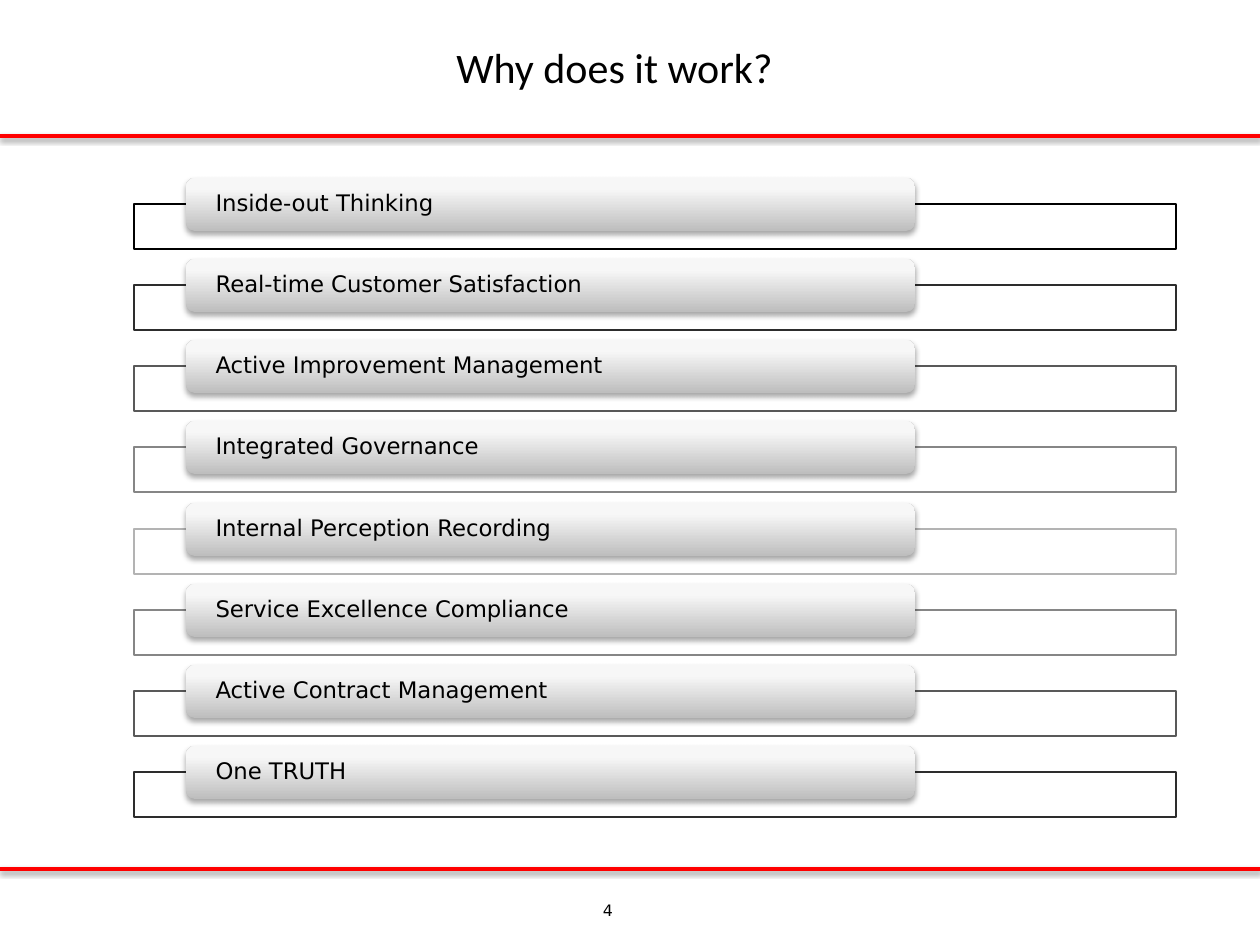
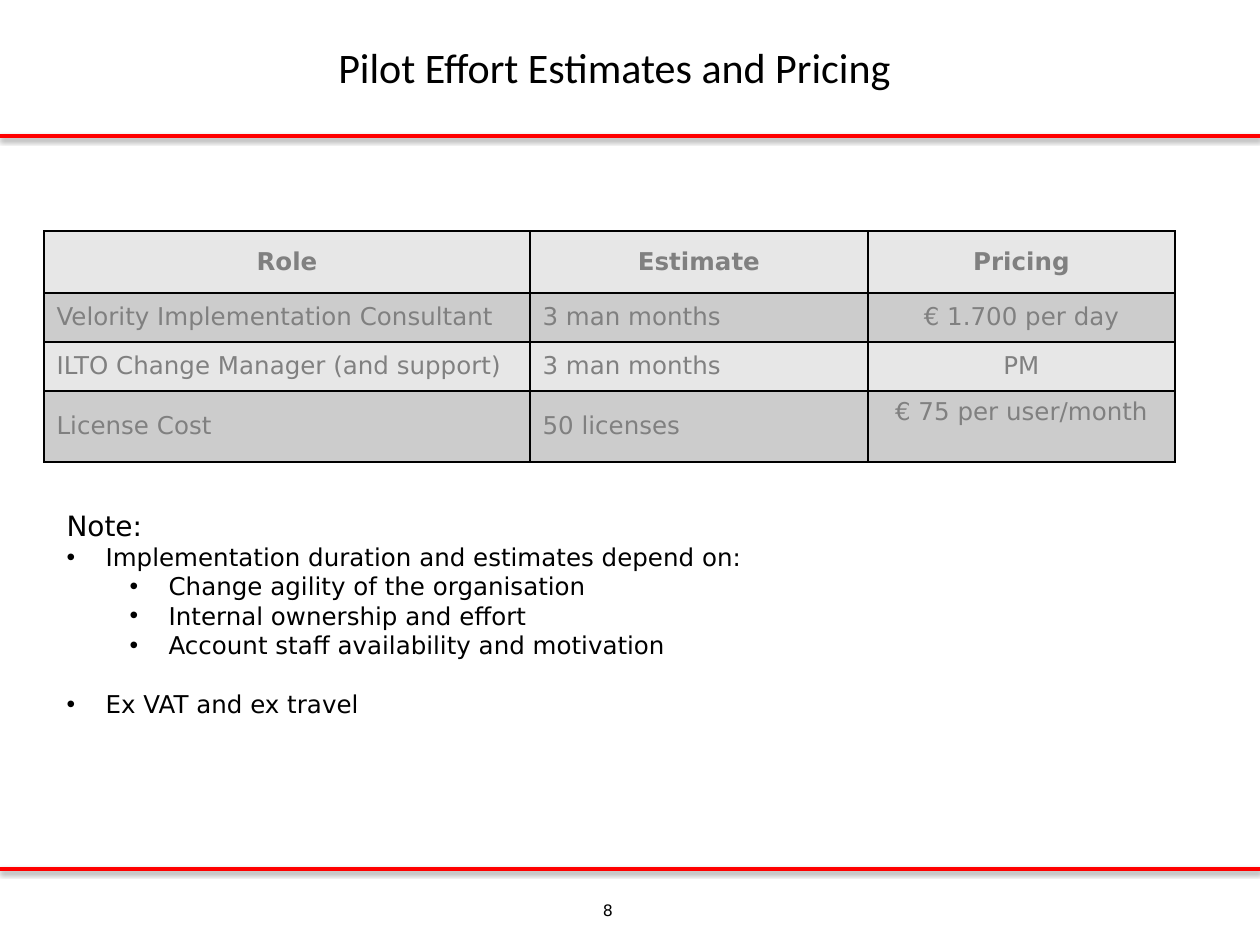
from dataclasses import dataclass

from pptx import Presentation
from pptx.dml.color import RGBColor
from pptx.enum.shapes import MSO_CONNECTOR as Connector, MSO_SHAPE as Shape
from pptx.enum.text import MSO_ANCHOR as Anchor, MSO_AUTO_SIZE as AutoSize, PP_ALIGN as Align
from pptx.oxml import parse_xml
from pptx.oxml.ns import nsdecls, qn
from pptx.util import Emu, Pt

# Shared style
EMU_PER_PX = 914400 / 126
PAGE_WIDTH, PAGE_HEIGHT = 1260, 945
TITLE_FONT, TEXT_FONT = "Calibri", "DejaVu Sans"
BLACK, WHITE, RED, GREY = "000000", "FFFFFF", "FF0000", "808080"
HEADER_FILL, ROW_FILL = "E7E7E7", "CCCCCC"
RULE_TOPS = (136, 869)


@dataclass(frozen=True)
class Area:
    left: int
    top: int
    width: int
    height: int

    def emu(self) -> list[Emu]:
        return [px(n) for n in (self.left, self.top, self.width, self.height)]


@dataclass(frozen=True)
class Reason:
    text: str
    outline: str


@dataclass(frozen=True)
class Note:
    text: str
    size: int = 14
    level: int = 0
    indent: int = 39
    bullet: bool = True
    before: int = 0


TITLE_AREA = Area(33, 13, 1163, 108)
NUMBER_AREA = Area(576, 895, 64, 49)

# Content of the reasons page
FIRST_FRAME = Area(134, 204, 1042, 45)
LAST_FRAME_TOP = 772
BAR_LEFT, BAR_RISE, BAR_WIDTH, BAR_HEIGHT = 186, 26, 729, 53
REASONS = [
    Reason("Inside-out Thinking", BLACK),
    Reason("Real-time Customer Satisfaction", "2D2D2D"),
    Reason("Active Improvement Management", "595959"),
    Reason("Integrated Governance", "868686"),
    Reason("Internal Perception Recording", "B3B3B3"),
    Reason("Service Excellence Compliance", "868686"),
    Reason("Active Contract Management", "595959"),
    Reason("One TRUTH", "2D2D2D"),
]

# Content of the pricing page
PRICE_AREA = Area(44, 231, 1131, 231)
COLUMN_WIDTHS = (486, 338, 307)
ROW_HEIGHTS = (62, 49, 49, 71)
PRICES = [
    ("Role", "Estimate", "Pricing"),
    ("Velority Implementation Consultant", "3 man months", "€ 1.700 per day"),
    ("ILTO Change Manager (and support)", "3 man months", "PM"),
    ("License Cost", "50 licenses", "€ 75 per user/month"),
]
NOTES_AREA = Area(54, 502, 1121, 229)
NOTES = [
    Note("Note:", size=16, indent=0, bullet=False),
    Note("Implementation duration and estimates depend on:"),
    Note("Change agility of the organisation", level=1, indent=102),
    Note("Internal ownership and effort", level=1, indent=102),
    Note("Account staff availability and motivation", level=1, indent=102),
    Note("Ex VAT and ex travel", before=17),
]


# Helpers
def px(length: int) -> Emu:
    return Emu(round(length * EMU_PER_PX))


def color(hex_code: str) -> RGBColor:
    return RGBColor.from_string(hex_code)


def fill_solid(target, hex_code: str) -> None:
    target.fill.solid()
    target.fill.fore_color.rgb = color(hex_code)


def set_opacity(shape, percent: int) -> None:
    shape.element.spPr.find(qn("a:solidFill"))[0].append(
        parse_xml(f'<a:alpha {nsdecls("a")} val="{percent * 1000}"/>'))


def set_line(shape, hex_code: str, width: float) -> None:
    shape.line.color.rgb = color(hex_code)
    shape.line.width = Pt(width)


def write(para, text: str, *, size: int, font: str = TEXT_FONT, hex_code: str = BLACK,
          bold: bool = False, align: Align = Align.LEFT) -> None:
    para.alignment = align
    span = para.add_run()
    span.text = text
    span.font.size = Pt(size)
    span.font.name = font
    span.font.bold = bold
    span.font.color.rgb = color(hex_code)


def add_shadow(shape, opacity: int, distance: float) -> None:
    shape.element.spPr.append(parse_xml(
        f'<a:effectLst {nsdecls("a")}><a:outerShdw blurRad="{Pt(3.1)}" dist="{Pt(distance)}" '
        f'dir="5400000" rotWithShape="0"><a:srgbClr val="{BLACK}">'
        f'<a:alpha val="{opacity * 1000}"/></a:srgbClr></a:outerShdw></a:effectLst>'))


def fill_gradient(shape) -> None:
    stops = "".join(
        f'<a:gs pos="{place * 1000}"><a:srgbClr val="{shade}"/></a:gs>'
        for place, shade in ((0, "BEBEBE"), (80, "F7F7F7"), (100, "F8F8F8")))
    shape.element.spPr.find(qn("a:prstGeom")).addnext(parse_xml(
        f'<a:gradFill {nsdecls("a")} rotWithShape="1"><a:gsLst>{stops}</a:gsLst>'
        '<a:lin ang="16200000" scaled="0"/></a:gradFill>'))


def place(box, area: Area) -> None:
    box.left, box.top, box.width, box.height = area.emu()


# Title, rules and page number
def add_page(deck, layout: int, title: str, number: int):
    page = deck.slides.add_slide(deck.slide_layouts[layout])
    for top in RULE_TOPS:
        rule = page.shapes.add_connector(
            Connector.STRAIGHT, px(0), px(top), px(PAGE_WIDTH), px(top))
        set_line(rule, RED, 2)
        add_shadow(rule, 38, 1.6)

    number_box = page.shapes.add_textbox(*NUMBER_AREA.emu())
    number_box.text_frame.word_wrap = True
    write(number_box.text_frame.paragraphs[0], str(number), size=9, align=Align.CENTER)

    title_box = page.shapes.title
    place(title_box, TITLE_AREA)
    title_box.text_frame.auto_size = AutoSize.NONE
    title_box.text_frame.vertical_anchor = Anchor.MIDDLE
    write(title_box.text_frame.paragraphs[0], title, size=24, font=TITLE_FONT,
          align=Align.CENTER)
    return page


# One outlined frame with its raised bar
def add_reason(page, reason: Reason, top: int) -> None:
    frame_area = Area(FIRST_FRAME.left, top, FIRST_FRAME.width, FIRST_FRAME.height)
    frame = page.shapes.add_shape(Shape.RECTANGLE, *frame_area.emu())
    frame.shadow.inherit = False
    fill_solid(frame, WHITE)
    set_opacity(frame, 90)
    set_line(frame, reason.outline, 0.75)

    bar_area = Area(BAR_LEFT, top - BAR_RISE, BAR_WIDTH, BAR_HEIGHT)
    bar = page.shapes.add_shape(Shape.ROUNDED_RECTANGLE, *bar_area.emu())
    fill_gradient(bar)
    bar.line.fill.background()
    add_shadow(bar, 35, 1.8)
    text = bar.text_frame
    text.word_wrap = True
    text.vertical_anchor = Anchor.MIDDLE
    text.margin_left = text.margin_right = px(27)
    text.margin_top = text.margin_bottom = px(0)
    text.paragraphs[0].line_spacing = 0.9
    write(text.paragraphs[0], reason.text, size=13)


# Price table
def add_borders(cell) -> None:
    properties = cell._tc.get_or_add_tcPr()
    for index, side in enumerate(("lnL", "lnR", "lnT", "lnB")):
        properties.insert(index, parse_xml(
            f'<a:{side} {nsdecls("a")} w="{Pt(1)}"><a:solidFill><a:srgbClr val="{BLACK}"/>'
            f'</a:solidFill></a:{side}>'))


def add_prices(page) -> None:
    table = page.shapes.add_table(len(PRICES), len(COLUMN_WIDTHS), *PRICE_AREA.emu()).table
    for column, width in zip(table.columns, COLUMN_WIDTHS):
        column.width = px(width)
    for row, height in zip(table.rows, ROW_HEIGHTS):
        row.height = px(height)
    for r, texts in enumerate(PRICES):
        for c, text in enumerate(texts):
            cell = table.cell(r, c)
            cell.vertical_anchor = Anchor.MIDDLE
            fill_solid(cell, ROW_FILL if r % 2 else HEADER_FILL)
            add_borders(cell)
            centred = r == 0 or c == 2
            write(cell.text_frame.paragraphs[0], text, size=14, hex_code=GREY, bold=r == 0,
                  align=Align.CENTER if centred else Align.LEFT)
    table.cell(len(PRICES) - 1, 2).vertical_anchor = Anchor.TOP


# Bulleted notes
def add_notes(box) -> None:
    place(box, NOTES_AREA)
    text = box.text_frame
    text.auto_size = AutoSize.NONE
    text.vertical_anchor = Anchor.TOP
    for index, note in enumerate(NOTES):
        para = text.add_paragraph() if index else text.paragraphs[0]
        para.level = note.level
        properties = para._p.get_or_add_pPr()
        properties.set("marL", str(px(note.indent)))
        properties.set("indent", str(px(-39 if note.bullet else 0)))
        bullet = 'buChar {} char="•"' if note.bullet else "buNone {}"
        properties.append(parse_xml(f'<a:{bullet.format(nsdecls("a"))}/>'))
        para.space_before = Pt(note.before)
        para.space_after = Pt(0)
        write(para, note.text, size=note.size)


def main() -> None:
    deck = Presentation()
    deck.slide_width, deck.slide_height = px(PAGE_WIDTH), px(PAGE_HEIGHT)

    reasons_page = add_page(deck, 5, "Why does it work?", 4)
    span = LAST_FRAME_TOP - FIRST_FRAME.top
    for index, reason in enumerate(REASONS):
        top = FIRST_FRAME.top + round(index * span / (len(REASONS) - 1))
        add_reason(reasons_page, reason, top)

    pricing_page = add_page(deck, 1, "Pilot Effort Estimates and Pricing", 8)
    add_prices(pricing_page)
    add_notes(pricing_page.placeholders[1])

    deck.save("out.pptx")


if __name__ == "__main__":
    main()
